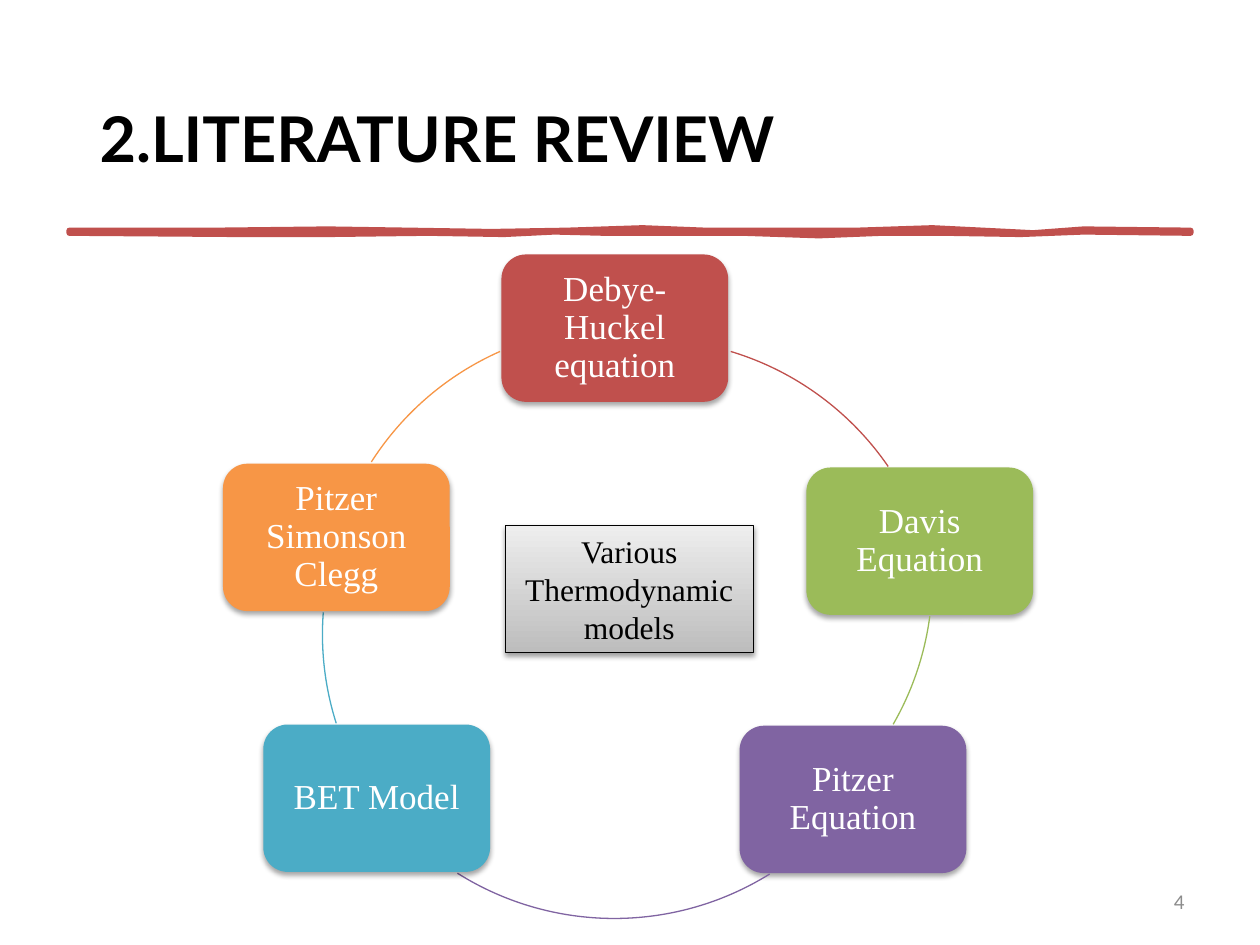
from lxml import etree
from pptx import Presentation
from pptx import util as u
from pptx.dml.color import RGBColor
from pptx.enum import shapes, text
from pptx.oxml import ns

BLACK = RGBColor(0x00, 0x00, 0x00)
WHITE = RGBColor(0xFF, 0xFF, 0xFF)
RED = RGBColor(0xC0, 0x50, 0x4D)
GREEN = RGBColor(0x9B, 0xBB, 0x59)
PURPLE = RGBColor(0x80, 0x64, 0xA2)
TEAL = RGBColor(0x4B, 0xAC, 0xC6)
ORANGE = RGBColor(0xF7, 0x96, 0x46)
SILVER = RGBColor(0xEE, 0xEE, 0xEE)
STEEL = RGBColor(0xBD, 0xBD, 0xBD)
GRAY = RGBColor(0x8C, 0x8C, 0x8C)

WIDTH, HEIGHT = u.Inches(10), u.Inches(7.5)
SERIF = "Times New Roman"
BOX_SIZE = (18, 15.6)
RING_SIZE = (46.7, 62.27)

MODELS = [
    ("Debye-Huckel equation", RED, (39.8, 26.93), (27.9, 35.87), (286.8, 325.5)),
    ("Davis Equation", GREEN, (64, 49.47), (27.3, 30), (7.5, 29.9)),
    ("Pitzer Equation", PURPLE, (58.7, 76.8), (25.4, 34.93), (58.1, 122.2)),
    ("BET Model", TEAL, (20.9, 76.67), (25.6, 36), (162.4, 184.3)),
    ("Pitzer Simonson Clegg", ORANGE, (17.7, 49.07), (25.8, 34.53), (212.6, 246.1)),
]

RULE_TOP = [(0.55, 1.83), (1.7, 1.83), (2.6, 1.82), (3.25, 1.83), (3.9, 1.84),
            (4.5, 1.83), (5.1, 1.81), (5.6, 1.83), (6.2, 1.83), (6.8, 1.83),
            (7.4, 1.81), (7.8, 1.83), (8.2, 1.85), (8.6, 1.82), (9.45, 1.83)]
RULE_BOTTOM = [(9.45, 1.85), (8.6, 1.84), (8.1, 1.86), (7.5, 1.85), (7, 1.85),
               (6.5, 1.87), (5.9, 1.85), (5.3, 1.85), (4.8, 1.85), (4.4, 1.84),
               (4, 1.86), (3.4, 1.85), (2.6, 1.86), (1.9, 1.86), (0.55, 1.85)]


def area(x, y, w, h):
    """Turn percentages of the slide into left, top, width and height."""
    return tuple(round(v * side / 100)
                 for v, side in zip((x, y, w, h), (WIDTH, HEIGHT) * 2))


def write(tf, words, font, size, color, align, bold=False):
    """Fill a text frame with one formatted, wrapped paragraph."""
    tf.text = words
    tf.word_wrap = True
    tf.vertical_anchor = text.MSO_ANCHOR.MIDDLE
    p = tf.paragraphs[0]
    p.alignment = align
    f = p.runs[0].font
    f.name, f.size, f.bold = font, u.Pt(size), bold
    f.color.rgb = color
    return p


def add_shadow(sp, distance, alpha):
    """Give a shape a soft shadow straight below it."""
    sp.shadow.inherit = False
    effects = sp._element.spPr.find(ns.qn("a:effectLst"))
    shadow = etree.SubElement(
        effects, ns.qn("a:outerShdw"), blurRad=str(u.Pt(3.1)),
        dist=str(u.Pt(distance)), dir="5400000", rotWithShape="0")
    color = etree.SubElement(shadow, ns.qn("a:srgbClr"), val="000000")
    etree.SubElement(color, ns.qn("a:alpha"), val=str(alpha * 1000))


def add_title(s, words):
    """Move and format the title placeholder."""
    sp = s.shapes.title
    sp.left, sp.top, sp.width, sp.height = area(6.9, 5.33, 86.2, 19.33)
    p = write(sp.text_frame, words, "Lato", 36, BLACK, text.PP_ALIGN.LEFT, True)
    p.line_spacing = 0.9
    p.space_after = u.Pt(6)


def add_rule(s):
    """Draw the hand-brushed rule under the title."""
    points = [(u.Inches(x), u.Inches(y)) for x, y in RULE_TOP + RULE_BOTTOM]
    builder = s.shapes.build_freeform(*points[0])
    builder.add_line_segments(points[1:], close=True)
    sp = builder.convert_to_shape()
    sp.shadow.inherit = False
    sp.fill.solid()
    sp.fill.fore_color.rgb = RED
    sp.line.color.rgb = RED
    sp.line.width = u.Pt(3.25)


def add_model(s, words, color, corner):
    """Add a rounded box naming one model."""
    sp = s.shapes.add_shape(shapes.MSO_SHAPE.ROUNDED_RECTANGLE,
                            *area(*corner, *BOX_SIZE))
    sp.fill.solid()
    sp.fill.fore_color.rgb = color
    sp.line.fill.background()
    add_shadow(sp, 1.8, 35)
    tf = sp.text_frame
    tf.margin_left = tf.margin_right = u.Inches(0.08)
    p = write(tf, words, SERIF, 20, WHITE, text.PP_ALIGN.CENTER)
    p.line_spacing = 0.9


def add_arc(s, color, corner, angles):
    """Add the piece of the ring between two clockwise angles in degrees."""
    sp = s.shapes.add_shape(shapes.MSO_SHAPE.ARC, *area(*corner, *RING_SIZE))
    for i, angle in enumerate(angles):
        sp.adjustments[i] = angle * 0.6
    sp.shadow.inherit = False
    sp.fill.background()
    sp.line.color.rgb = color
    sp.line.width = u.Pt(0.75)


def add_hub(s, words):
    """Add the shaded box in the middle of the ring."""
    sp = s.shapes.add_shape(shapes.MSO_SHAPE.RECTANGLE,
                            *area(40.1, 55.6, 19.7, 13.47))
    sp.fill.gradient()
    sp.fill.gradient_angle = 90
    for stop, color in zip(sp.fill.gradient_stops, (STEEL, SILVER)):
        stop.color.rgb = color
    sp.line.color.rgb = BLACK
    sp.line.width = u.Pt(0.75)
    add_shadow(sp, 1.6, 38)
    write(sp.text_frame, words, SERIF, 18, BLACK, text.PP_ALIGN.CENTER)


def add_page_number(s, number):
    """Add the page number at the lower right."""
    sp = s.shapes.add_textbox(*area(71.7, 92.67, 23.3, 5.33))
    write(sp.text_frame, number, "Calibri", 12, GRAY, text.PP_ALIGN.RIGHT)


def main():
    """Build and save the slide."""
    prs = Presentation()
    prs.slide_width, prs.slide_height = WIDTH, HEIGHT
    s = prs.slides.add_slide(prs.slide_layouts[5])
    add_title(s, "2.LITERATURE REVIEW")
    add_rule(s)
    for words, color, box_corner, ring_corner, angles in MODELS:
        add_model(s, words, color, box_corner)
        add_arc(s, color, ring_corner, angles)
    add_hub(s, "Various Thermodynamic models")
    add_page_number(s, "4")
    prs.save("out.pptx")


if __name__ == "__main__":
    main()
